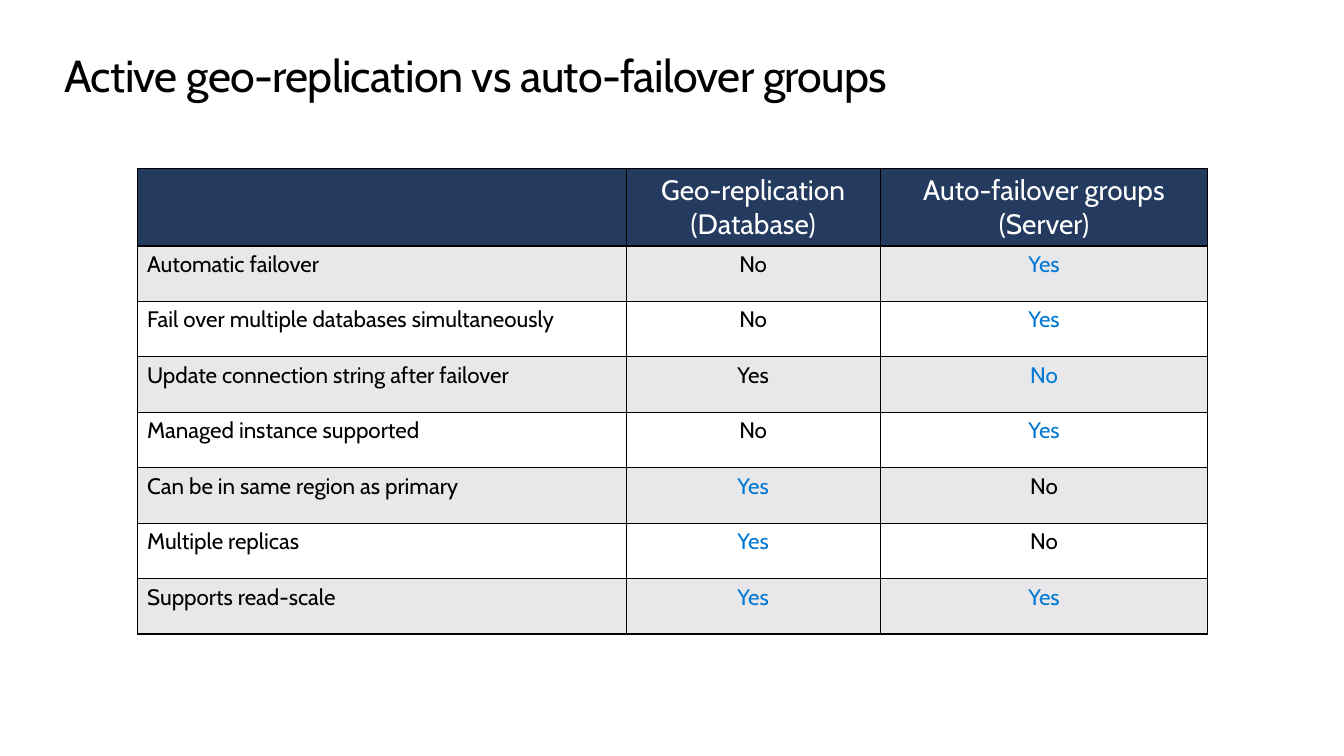
from dataclasses import dataclass

from lxml import etree
from pptx import Presentation
from pptx import util as u
from pptx.dml.color import RGBColor
from pptx.enum import text
from pptx.oxml.ns import qn


@dataclass(frozen=True)
class Theme:
    font: str = "Cabin"
    ink: str = "000000"
    header_ink: str = "FFFFFF"
    advantage: str = "0078D4"
    header_fill: str = "243A5E"
    band_fills: tuple[str, str] = ("E8E8EA", "FFFFFF")
    title_size: float = 32
    title_leading: float = 36.2
    title_tracking: float = -0.5
    header_size: float = 20
    body_size: float = 16
    border_width: float = 1


@dataclass(frozen=True)
class Answer:
    label: str
    is_advantage: bool = False


@dataclass(frozen=True)
class Feature:
    name: str
    geo_replication: Answer
    failover_groups: Answer


THEME = Theme()
TITLE = "Active geo-replication vs auto-failover groups"
HEADERS = ([], ["Geo-replication", "(Database)"], ["Auto-failover groups (Server)"])
COLUMN_WIDTHS = (4.85, 2.52, 3.25)
HEADER_HEIGHT = 0.77
ROW_HEIGHT = 0.55

YES, NO = Answer("Yes"), Answer("No")
BEST_YES, BEST_NO = Answer("Yes", True), Answer("No", True)
FEATURES = [
    Feature("Automatic failover", NO, BEST_YES),
    Feature("Fail over multiple databases simultaneously", NO, BEST_YES),
    Feature("Update connection string after failover", YES, BEST_NO),
    Feature("Managed instance supported", NO, BEST_YES),
    Feature("Can be in same region as primary", BEST_YES, NO),
    Feature("Multiple replicas", BEST_YES, NO),
    Feature("Supports read-scale", BEST_YES, BEST_YES),
]


def add_run(p, label: str, size: float, color: str):
    r = p.add_run()
    r.text = label
    r.font.name = THEME.font
    r.font.size = u.Pt(size)
    r.font.bold = False
    r.font.color.rgb = RGBColor.from_string(color)
    return r


def add_title(s) -> None:
    sp = s.shapes.add_textbox(u.Inches(0.64), u.Inches(0.5), u.Inches(12.05), u.Inches(0.61))
    tf = sp.text_frame
    tf.word_wrap = True
    tf.margin_left = tf.margin_top = tf.margin_right = tf.margin_bottom = 0
    p = tf.paragraphs[0]
    p.line_spacing = u.Pt(THEME.title_leading)
    r = add_run(p, TITLE, THEME.title_size, THEME.ink)
    r.font._element.set("spc", str(round(THEME.title_tracking * 100)))


def style_cell(cell, fill: str) -> None:
    tc_pr = cell._tc.get_or_add_tcPr()
    for side in ("a:lnL", "a:lnR", "a:lnT", "a:lnB"):
        ln = etree.SubElement(tc_pr, qn(side), w=str(u.Pt(THEME.border_width)))
        solid = etree.SubElement(ln, qn("a:solidFill"))
        etree.SubElement(solid, qn("a:srgbClr"), val=THEME.ink)
    cell.fill.solid()
    cell.fill.fore_color.rgb = RGBColor.from_string(fill)


def write_cell(cell, lines: list[str], size: float, color: str, centered: bool) -> None:
    tf = cell.text_frame
    for i, line in enumerate(lines):
        p = tf.add_paragraph() if i else tf.paragraphs[0]
        p.alignment = text.PP_ALIGN.CENTER if centered else text.PP_ALIGN.LEFT
        add_run(p, line, size, color)


def add_comparison(s) -> None:
    height = HEADER_HEIGHT + ROW_HEIGHT * len(FEATURES)
    frame = s.shapes.add_table(
        len(FEATURES) + 1, len(HEADERS),
        u.Inches(1.36), u.Inches(1.67), u.Inches(sum(COLUMN_WIDTHS)), u.Inches(height),
    )
    table = frame.table
    for column, width in zip(table.columns, COLUMN_WIDTHS):
        column.width = u.Inches(width)
    for i, row in enumerate(table.rows):
        row.height = u.Inches(ROW_HEIGHT if i else HEADER_HEIGHT)

    for col, lines in enumerate(HEADERS):
        cell = table.cell(0, col)
        style_cell(cell, THEME.header_fill)
        write_cell(cell, lines, THEME.header_size, THEME.header_ink, True)

    for i, feature in enumerate(FEATURES):
        answers = (Answer(feature.name), feature.geo_replication, feature.failover_groups)
        for col, answer in enumerate(answers):
            cell = table.cell(i + 1, col)
            style_cell(cell, THEME.band_fills[i % 2])
            color = THEME.advantage if answer.is_advantage else THEME.ink
            write_cell(cell, [answer.label], THEME.body_size, color, col > 0)


def main() -> None:
    prs = Presentation()
    prs.slide_width, prs.slide_height = u.Inches(13.33), u.Inches(7.5)
    s = prs.slides.add_slide(prs.slide_layouts[6])
    add_title(s)
    add_comparison(s)
    prs.save("out.pptx")


if __name__ == "__main__":
    main()
